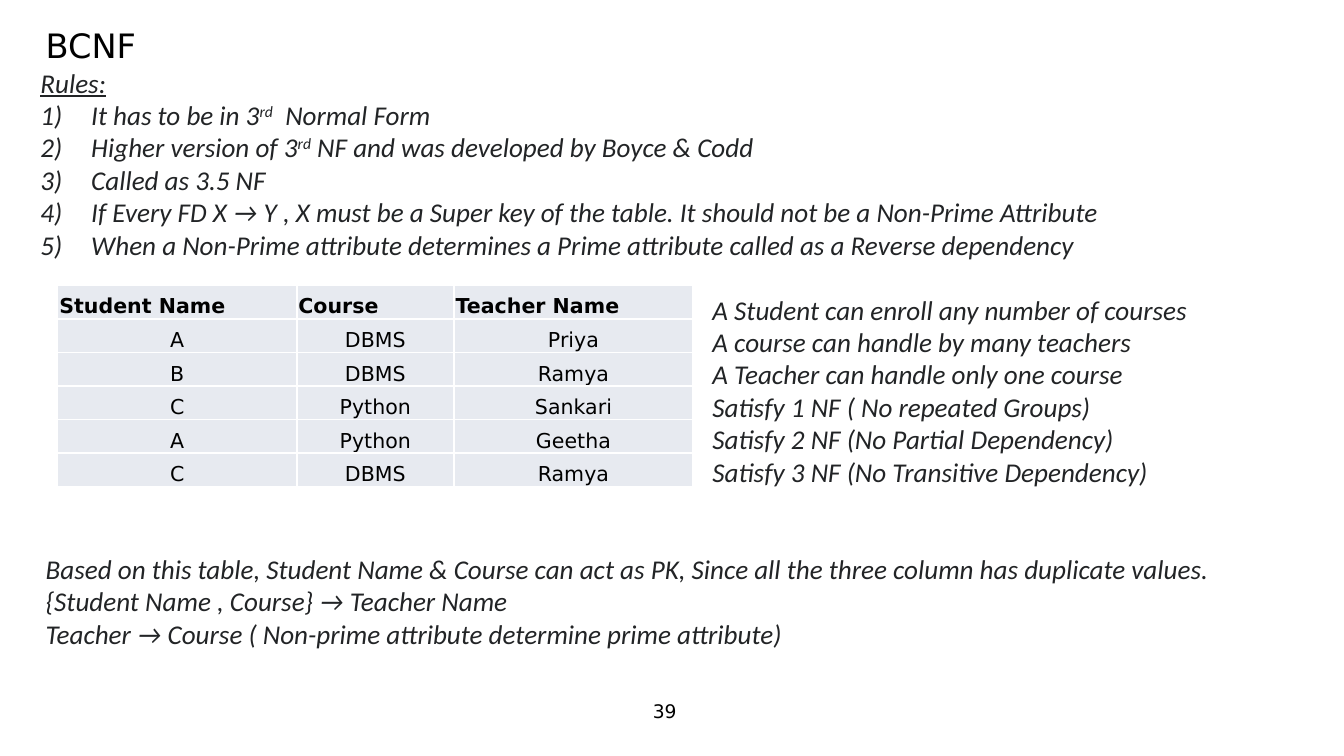
from dataclasses import dataclass

from lxml.etree import SubElement
from pptx import Presentation
from pptx.dml.color import RGBColor
from pptx.enum.text import MSO_ANCHOR as Anchor, MSO_AUTO_SIZE as AutoSize, PP_ALIGN as Align
from pptx.oxml.ns import qn
from pptx.util import Cm, Pt


@dataclass(frozen=True)
class Theme:
    ink: str = "000000"
    body_ink: str = "222426"
    cell_fill: str = "E7EAF0"
    grid: str = "FFFFFF"
    plain_font: str = "DejaVu Sans"
    body_font: str = "Calibri"
    title_size: float = 18
    body_size: float = 14.5
    cell_size: float = 11
    number_size: float = 10
    line_pitch: float = 17.4


THEME = Theme()

# Each rule is a list of pieces; every second piece is raised.
RULES = [
    ["It has to be in 3", "rd", "  Normal Form"],
    ["Higher version of 3", "rd", " NF and was developed by Boyce & Codd"],
    ["Called as 3.5 NF"],
    ["If Every FD X → Y , X must be a Super key of the table. It should not be a Non-Prime Attribute"],
    ["When a Non-Prime attribute determines a Prime attribute called as a Reverse dependency"],
]
FACTS = [
    "A Student can enroll any number of courses",
    "A course can handle by many teachers",
    "A Teacher can handle only one course",
    "Satisfy 1 NF ( No repeated Groups)",
    "Satisfy 2 NF (No Partial Dependency)",
    "Satisfy 3 NF (No Transitive Dependency)",
]
CONCLUSIONS = [
    "Based on this table, Student Name & Course can act as PK, Since all the three column has duplicate values.",
    "{Student Name , Course} → Teacher Name",
    "Teacher → Course ( Non-prime attribute determine prime attribute)",
]
ENROLMENTS = [
    ("Student Name", "Course", "Teacher Name"),
    ("A", "DBMS", "Priya"),
    ("B", "DBMS", "Ramya"),
    ("C", "Python", "Sankari"),
    ("A", "Python", "Geetha"),
    ("C", "DBMS", "Ramya"),
]
COLUMN_SHARES = (1.78, 1.17, 1.78)


def write(paragraph, text, *, size, font=THEME.plain_font, color=THEME.ink, bold=False,
          italic=False, underline=False, raised=False, align=Align.LEFT):
    paragraph.alignment = align
    run = paragraph.add_run()
    run.text = text
    run.font.size = Pt(size)
    run.font.name = font
    run.font.color.rgb = RGBColor.from_string(color)
    run.font.bold, run.font.italic, run.font.underline = bold, italic, underline
    if raised:
        run.font._element.set("baseline", "30000")


def set_paragraph(paragraph, *, indent=0, lines_before=0, numbered=False):
    paragraph.line_spacing = Pt(THEME.line_pitch)
    paragraph.space_before = Pt(lines_before * THEME.line_pitch)
    props = paragraph._p.get_or_add_pPr()
    props.set("marL", str(Cm(indent)))
    props.set("indent", str(-Cm(indent) if numbered else 0))
    if numbered:
        SubElement(props, qn("a:buFont"), typeface=THEME.body_font)
        SubElement(props, qn("a:buAutoNum"), type="arabicParenR")
    else:
        SubElement(props, qn("a:buNone"))


def place(shape, box):
    shape.left, shape.top, shape.width, shape.height = (Cm(length) for length in box)


def add_title(slide, box):
    title = slide.shapes.title
    place(title, box)
    title.text_frame.vertical_anchor = Anchor.MIDDLE
    title.text_frame.auto_size = AutoSize.NONE
    write(title.text_frame.paragraphs[0], "BCNF", size=THEME.title_size)


def add_discussion(slide, box):
    """Rules, facts beside the table and conclusions, in one body text."""
    body = slide.placeholders[1]
    place(body, box)
    frame = body.text_frame
    frame.word_wrap = True
    frame.auto_size = AutoSize.NONE
    style = dict(size=THEME.body_size, font=THEME.body_font, color=THEME.body_ink,
                 italic=True, align=Align.JUSTIFY)

    heading = frame.paragraphs[0]
    set_paragraph(heading)
    write(heading, "Rules:", underline=True, **style)
    for rule in RULES:
        paragraph = frame.add_paragraph()
        set_paragraph(paragraph, indent=0.96, numbered=True)
        for i, piece in enumerate(rule):
            write(paragraph, piece, raised=i % 2 == 1, **style)
    for lines, indent, gap in ((FACTS, 12.7, 1), (CONCLUSIONS, 0.1, 2)):
        for i, line in enumerate(lines):
            paragraph = frame.add_paragraph()
            set_paragraph(paragraph, indent=indent, lines_before=0 if i else gap)
            write(paragraph, line, **style)


def add_borders(cell):
    props = cell._tc.get_or_add_tcPr()
    for side in ("a:lnL", "a:lnR", "a:lnT", "a:lnB"):
        line = SubElement(props, qn(side), w=str(Pt(1)))
        SubElement(SubElement(line, qn("a:solidFill")), qn("a:srgbClr"), val=THEME.grid)


def add_enrolments(slide, box):
    left, top, width, height = box
    table = slide.shapes.add_table(len(ENROLMENTS), len(COLUMN_SHARES),
                                   *(Cm(length) for length in box)).table
    table.horz_banding = False
    table.first_row = False
    for column, share in zip(table.columns, COLUMN_SHARES):
        column.width = Cm(width * share / sum(COLUMN_SHARES))
    for r, record in enumerate(ENROLMENTS):
        table.rows[r].height = Cm(height / len(ENROLMENTS))
        for c, value in enumerate(record):
            cell = table.cell(r, c)
            cell.margin_left = cell.margin_right = cell.margin_top = Cm(0.03)
            cell.margin_bottom = 0
            cell.vertical_anchor = Anchor.BOTTOM
            add_borders(cell)
            cell.fill.solid()
            cell.fill.fore_color.rgb = RGBColor.from_string(THEME.cell_fill)
            write(cell.text_frame.paragraphs[0], value, size=THEME.cell_size,
                  bold=r == 0, align=Align.CENTER if r else Align.LEFT)


def add_page_number(slide, box):
    frame = slide.shapes.add_textbox(*(Cm(length) for length in box)).text_frame
    frame.word_wrap = True
    frame.vertical_anchor = Anchor.MIDDLE
    write(frame.paragraphs[0], "39", size=THEME.number_size)


def main():
    deck = Presentation()
    deck.slide_width, deck.slide_height = Cm(25.4), Cm(14.29)
    slide = deck.slides.add_slide(deck.slide_layouts[1])
    add_title(slide, (0.61, 0.36, 24.31, 0.99))
    add_discussion(slide, (0.51, 1.12, 24.49, 11.4))
    add_enrolments(slide, (1.09, 5.39, 12.01, 3.81))
    add_page_number(slide, (12.09, 13.13, 1.22, 0.61))
    deck.save("out.pptx")


if __name__ == "__main__":
    main()
